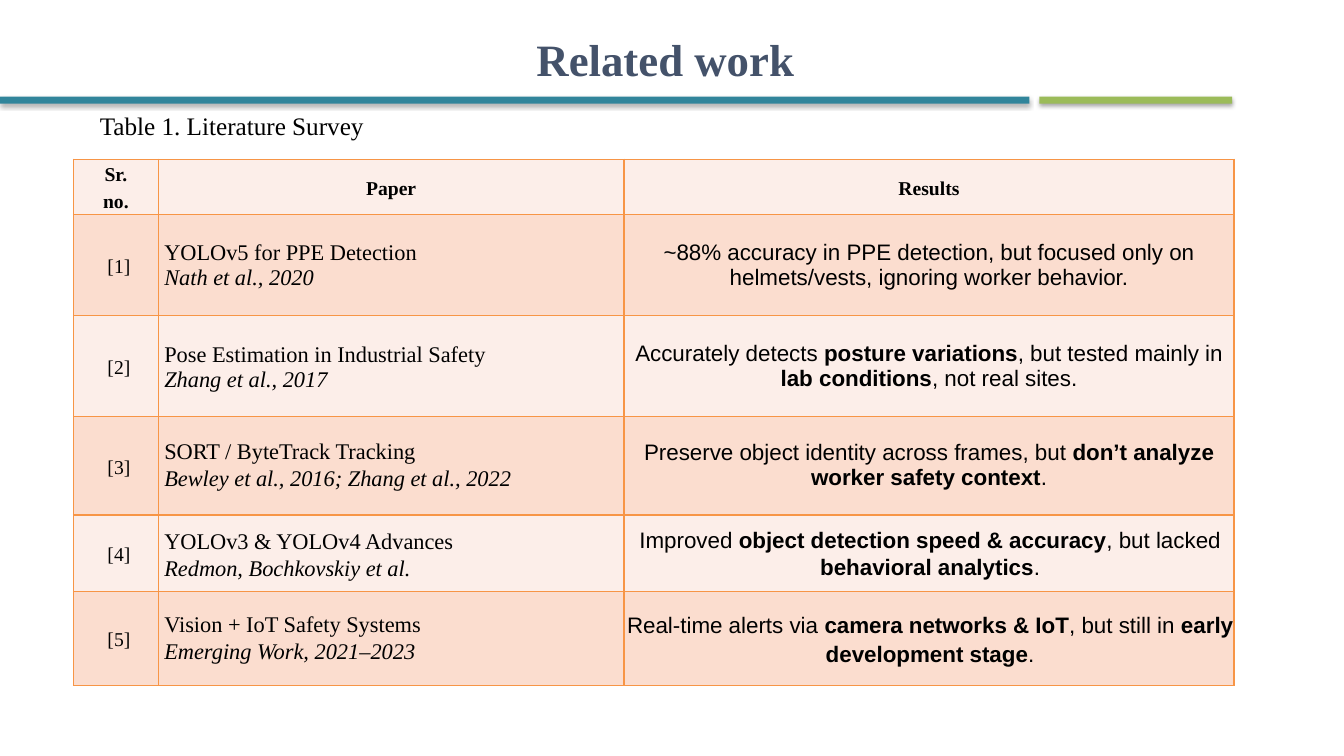
from lxml.etree import SubElement
from pptx import Presentation
from pptx.dml.color import RGBColor
from pptx.enum.shapes import MSO_SHAPE
from pptx.enum.text import MSO_ANCHOR, PP_ALIGN
from pptx.oxml import parse_xml
from pptx.oxml.ns import nsdecls, qn
from pptx.util import Inches, Pt

SERIF = "Times New Roman"
SANS = "Arial"
ROW_FILLS = ("FCEEE9", "FBDDCF")
BORDER = "F79546"
COLUMN_WIDTHS = (0.84, 4.62, 6.05)
ROW_HEIGHTS = (0.55, 1, 1, 0.98, 0.76, 0.93)
HEADINGS = (("Sr.", "no."), ("Paper",), ("Results",))
# title, authors, title line spacing, gap before authors, result, result indent, result line spacing
STUDIES = (
    ("YOLOv5 for PPE Detection", "Nath et al., 2020", 1, 0,
     "~88% accuracy in PPE detection, but focused only on helmets/vests, ignoring worker behavior.", 0, 1),
    ("Pose Estimation in Industrial Safety", "Zhang et al., 2017", 1.14, 0.1,
     "Accurately detects **posture variations**, but tested mainly in **lab conditions**, not real sites.", 0, 1),
    ("SORT / ByteTrack Tracking", "Bewley et al., 2016; Zhang et al., 2022", 1, 1.4,
     "Preserve object identity across frames, but **don’t analyze worker safety context**.", 0, 1),
    ("YOLOv3 & YOLOv4 Advances", "Redmon, Bochkovskiy et al.", 1.17, 1.5,
     "Improved **object detection speed & accuracy**, but lacked **behavioral analytics**.", 0.02, 1.07),
    ("Vision + IoT Safety Systems", "Emerging Work, 2021–2023", 1, 1.2,
     "Real-time alerts via **camera networks & IoT**, but still in **early development stage**.", 0.02, 1.16),
)


def colour(value):
    return RGBColor.from_string(value)


def write(frame, text, size=16, font=SERIF, ink="000000", bold=False, italic=False,
          align=PP_ALIGN.LEFT, indent=0, spacing=1, before=0):
    para = frame.paragraphs[0] if not frame.text else frame.add_paragraph()
    para.alignment = align
    para.line_spacing = spacing
    para.space_before = Pt(before)
    properties = para._p.get_or_add_pPr()
    properties.set("marL", str(Inches(indent)))
    properties.set("indent", "0")
    for index, part in enumerate(text.split("**")):
        span = para.add_run()
        span.text = part
        span.font.size = Pt(size)
        span.font.name = font
        span.font.bold = bold or index % 2 == 1
        span.font.italic = italic
        span.font.color.rgb = colour(ink)


def set_margins(holder, top=0):
    holder.margin_left = holder.margin_right = holder.margin_bottom = Inches(0)
    holder.margin_top = Inches(top)


def add_bar(page, left, width, fill):
    bar = page.shapes.add_shape(MSO_SHAPE.RECTANGLE, Inches(left), Inches(0.96),
                                Inches(width), Inches(0.07))
    bar.shadow.inherit = False
    bar.fill.solid()
    bar.fill.fore_color.rgb = colour(fill)
    bar.line.fill.background()
    effects = bar._element.spPr.find(qn("a:effectLst"))
    effects.append(parse_xml(
        f'<a:outerShdw {nsdecls("a")} blurRad="{Pt(3.1)}" dist="{Pt(1.8)}" dir="5400000" rotWithShape="0">'
        '<a:srgbClr val="000000"><a:alpha val="34000"/></a:srgbClr></a:outerShdw>'))


def add_title(page):
    title = page.shapes.title
    title.left, title.top = Inches(4.38), Inches(0.23)
    title.width, title.height = Inches(4.58), Inches(0.62)
    frame = title.text_frame
    frame.vertical_anchor = MSO_ANCHOR.TOP
    set_margins(frame, 0.08)
    write(frame, "Related work", size=32, ink="44526A", bold=True, indent=0.94)


def add_caption(page):
    box = page.shapes.add_textbox(Inches(0.98), Inches(1.08), Inches(3.4), Inches(0.32))
    box.text_frame.word_wrap = True
    set_margins(box.text_frame, 0.01)
    write(box.text_frame, "Table 1. Literature Survey", size=18, indent=0.01)


def style_cell(cell, fill):
    set_margins(cell)
    cell.vertical_anchor = MSO_ANCHOR.MIDDLE
    properties = cell._tc.get_or_add_tcPr()
    for side in ("lnL", "lnR", "lnT", "lnB"):
        line = SubElement(properties, qn(f"a:{side}"), w=str(Pt(1)))
        paint = SubElement(line, qn("a:solidFill"))
        SubElement(paint, qn("a:srgbClr"), val=BORDER)
    cell.fill.solid()
    cell.fill.fore_color.rgb = colour(fill)


def add_survey(page):
    table = page.shapes.add_table(len(ROW_HEIGHTS), len(COLUMN_WIDTHS), Inches(0.73), Inches(1.58),
                                  Inches(sum(COLUMN_WIDTHS)), Inches(sum(ROW_HEIGHTS))).table
    table.first_row = table.horz_banding = False
    for column, width in zip(table.columns, COLUMN_WIDTHS):
        column.width = Inches(width)
    for index, height in enumerate(ROW_HEIGHTS):
        table.rows[index].height = Inches(height)
        for cell in table.rows[index].cells:
            style_cell(cell, ROW_FILLS[index % 2])
    for cell, lines in zip(table.rows[0].cells, HEADINGS):
        for index, text in enumerate(lines):
            write(cell.text_frame, text, size=14, bold=True, align=PP_ALIGN.CENTER,
                  spacing=1.16, before=1.2 * index)
    for number, study in enumerate(STUDIES, 1):
        name, authors, name_spacing, gap, result, indent, result_spacing = study
        label, paper, outcome = (cell.text_frame for cell in table.rows[number].cells)
        write(label, f"[{number}]", size=14, align=PP_ALIGN.CENTER, indent=0.06, spacing=1.16)
        write(paper, name, indent=0.06, spacing=name_spacing)
        write(paper, authors, italic=True, indent=0.06, before=gap)
        write(outcome, result, font=SANS, align=PP_ALIGN.CENTER, indent=indent, spacing=result_spacing)


def main():
    deck = Presentation()
    deck.slide_width, deck.slide_height = Inches(13.33), Inches(7.5)
    page = deck.slides.add_slide(deck.slide_layouts[5])
    add_bar(page, 10.31, 1.91, "9BBB59")
    add_bar(page, 0, 10.21, "31859B")
    add_title(page)
    add_survey(page)
    add_caption(page)
    deck.save("out.pptx")


if __name__ == "__main__":
    main()
